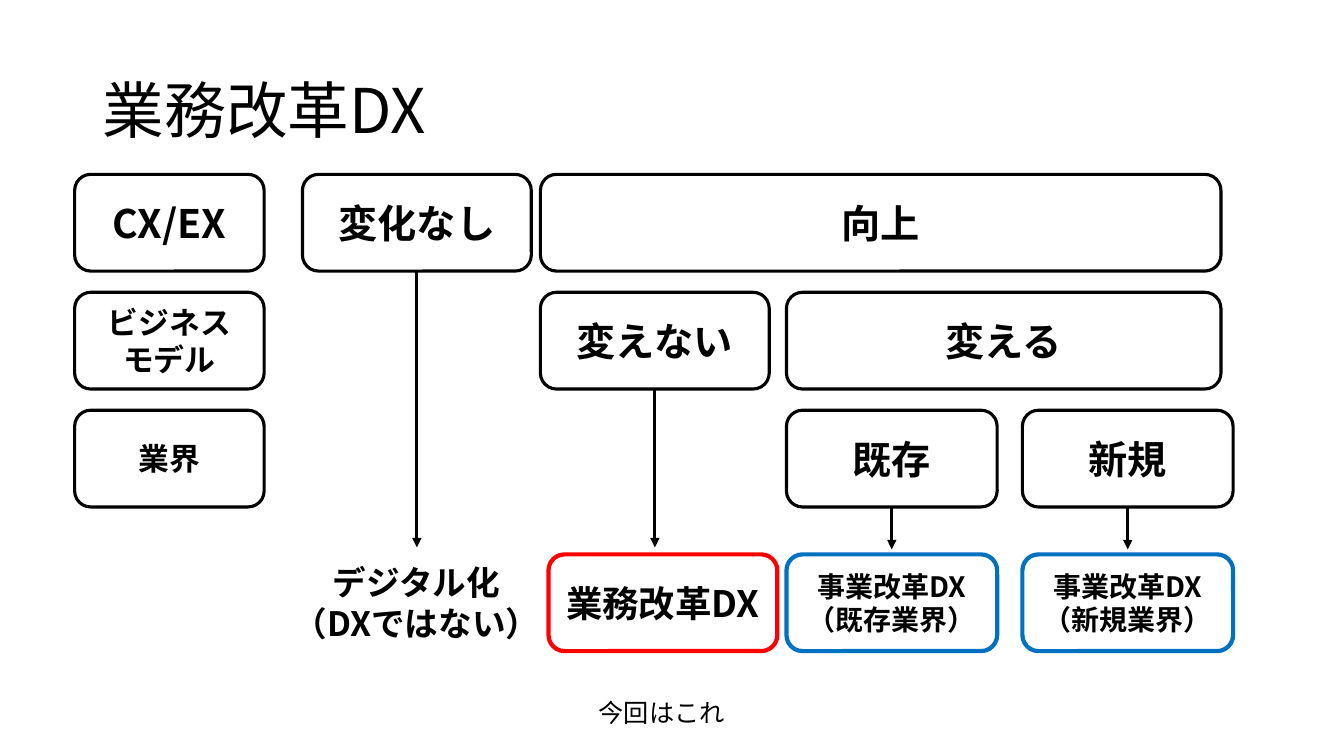
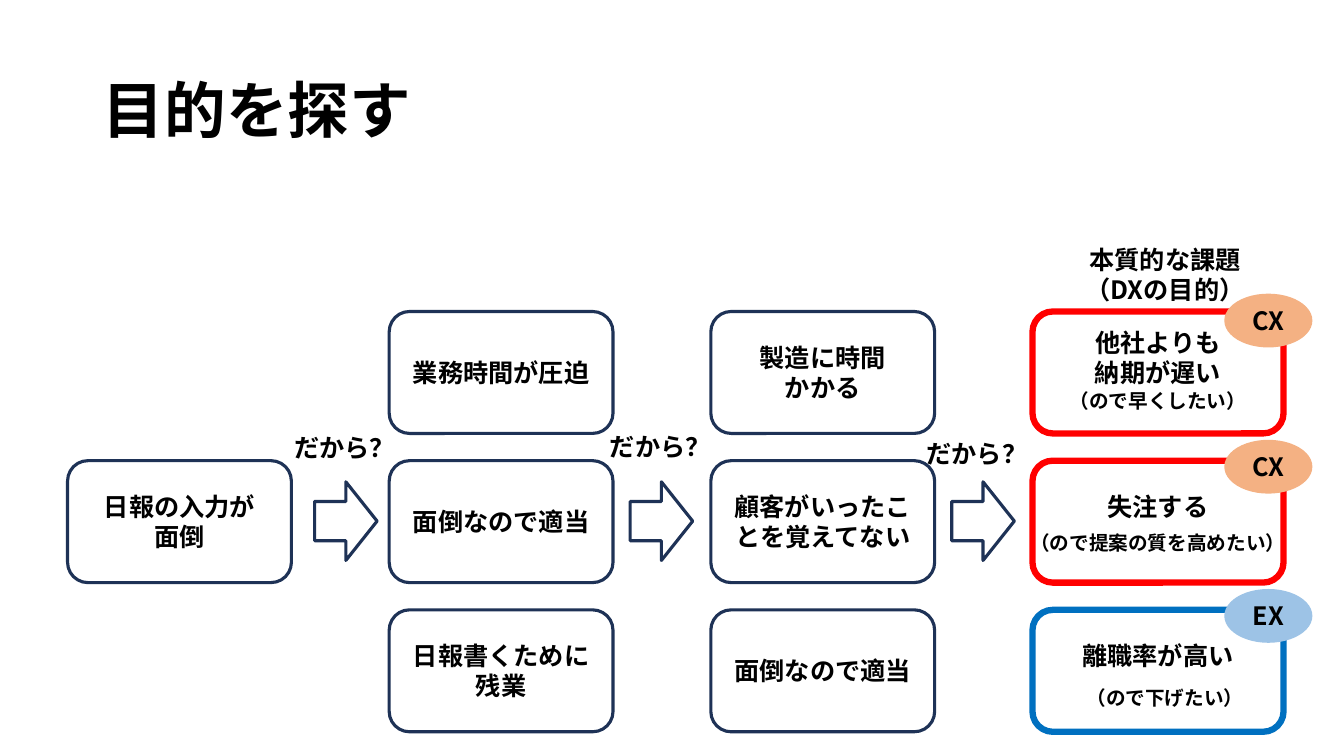
from lxml import etree
from pptx import Presentation
from pptx.dml.color import RGBColor
from pptx.enum.shapes import MSO_CONNECTOR, MSO_SHAPE
from pptx.enum.text import MSO_ANCHOR, MSO_AUTO_SIZE, PP_ALIGN
from pptx.oxml.ns import qn
from pptx.util import Pt

# Shared style
PX = 9144  # 100 px to the inch
FONT = "Noto Sans CJK JP"
COLORS = {
    "black": "000000", "white": "FFFFFF", "navy": "1E3256", "red": "FF0000",
    "blue": "0070C0", "peach": "F4B183", "sky": "9DC3E6",
}
ROUND = MSO_SHAPE.ROUNDED_RECTANGLE
OVAL = MSO_SHAPE.OVAL
ARROW = MSO_SHAPE.RIGHT_ARROW
STRAIGHT = MSO_CONNECTOR.STRAIGHT
LEFT, CENTER = PP_ALIGN.LEFT, PP_ALIGN.CENTER
MIDDLE, TOP = MSO_ANCHOR.MIDDLE, MSO_ANCHOR.TOP
NO_FIT = MSO_AUTO_SIZE.NONE
TITLE_ONLY = 5


def rgb(name):
    return RGBColor.from_string(COLORS[name])


def emu(*nums):
    return [num * PX for num in nums]


def write(shape, text, size, bold=True, align=CENTER, anchor=MIDDLE):
    frame = shape.text_frame
    frame.text = text
    frame.word_wrap = True
    frame.auto_size = NO_FIT
    frame.vertical_anchor = anchor
    for para in frame.paragraphs:
        para.alignment = align
        for run in para.runs:
            font = run.font
            font.size, font.bold, font.name = Pt(size), bold, FONT
            font.color.rgb = rgb("black")
            # East Asian glyphs take their own typeface
            etree.SubElement(font._element, qn("a:ea"), typeface=FONT)


def page(deck, title, bold):
    slide = deck.slides.add_slide(deck.slide_layouts[TITLE_ONLY])
    head = slide.shapes.title
    head.left, head.top, head.width, head.height = emu(92, 40, 1150, 145)
    write(head, title, 44, bold, LEFT)
    head.text_frame.paragraphs[0].line_spacing = 0.9
    return slide


def form(slide, kind, rect, line, weight, fill="white"):
    shape = slide.shapes.add_shape(kind, *emu(*rect))
    shape.shadow.inherit = False
    shape.fill.solid()
    shape.fill.fore_color.rgb = rgb(fill)
    shape.line.color.rgb = rgb(line)
    shape.line.width = Pt(weight)
    return shape


def box(slide, rect, text, size, line="black", weight=2.25):
    shape = form(slide, ROUND, rect, line, weight)
    write(shape, text, size)
    return shape


def label(slide, rect, text, size, bold=True, align=CENTER):
    write(slide.shapes.add_textbox(*emu(*rect)), text, size, bold, align, TOP)


def drop(slide, start, end):
    """Arrow from the bottom middle of a box down to a height."""
    x = start.left + start.width // 2
    link = slide.shapes.add_connector(
        STRAIGHT, x, start.top + start.height, x, end * PX)
    link.line.color.rgb = rgb("black")
    link.line.width = Pt(2.25)
    etree.SubElement(link.line._get_or_add_ln(), qn("a:tailEnd"), type="triangle")
    etree.SubElement(link._element.spPr, qn("a:effectLst"))


def reform(deck):
    slide = page(deck, "業務改革DX", False)
    high = 96
    rows = [173 + 117 * i for i in range(3)]

    # Questions: row, left, width, text, size, arrow end
    cells = [
        (0, 74, 188, "CX/EX", 28, None),
        (1, 74, 188, "ビジネス\nモデル", 22, None),
        (2, 74, 188, "業界", 22, None),
        (0, 300, 227, "変化なし", 28, 543),
        (0, 536, 675, "向上", 28, None),
        (1, 536, 227, "変えない", 28, 543),
        (1, 780, 431, "変える", 28, None),
        (2, 780, 209, "既存", 28, 545),
        (2, 1014, 209, "新規", 28, 545),
    ]
    for row, left, width, text, size, end in cells:
        cell = box(slide, (left, rows[row], width, high), text, size)
        if end:
            drop(slide, cell, end)

    # Outcomes
    goals = [
        (544, 227, "業務改革DX", 26, "red"),
        (780, 209, "事業改革DX\n（既存業界）", 20, "blue"),
        (1014, 209, "事業改革DX\n（新規業界）", 20, "blue"),
    ]
    for left, width, text, size, line in goals:
        box(slide, (left, 550, width, high), text, size, line, 3)
    label(slide, (272, 553, 282, 91), "デジタル化\n（DXではない）", 24)
    label(slide, (584, 687, 160, 40), "今回はこれ", 18, False, LEFT)


def purpose(deck):
    slide = page(deck, "目的を探す", True)
    high = 121
    cols = [67 + 319 * i for i in range(4)]
    rows = [309 + 148 * i for i in range(3)]

    # Chain of causes
    causes = [
        (0, 1, "日報の入力が\n面倒"),
        (1, 0, "業務時間が圧迫"),
        (1, 1, "面倒なので適当"),
        (1, 2, "日報書くために残業"),
        (2, 0, "製造に時間\nかかる"),
        (2, 1, "顧客がいったことを覚えてない"),
        (2, 2, "面倒なので適当"),
    ]
    for col, row, text in causes:
        box(slide, (cols[col], rows[row], 222, high), text, 18, "navy")

    # Steps between columns
    for left, x, y in [(312, 282, 424), (625, 595, 423), (944, 909, 430)]:
        form(slide, ARROW, (left, 478, 62, 78), "navy", 2.25)
        label(slide, (x, y, 123, 40), "だから？", 18, True, LEFT)

    # Core issues, each with a wish and a badge
    label(slide, (982, 237, 347, 71), "本質的な課題\n（DXの目的）", 18)
    issues = [
        ("他社よりも\n納期が遅い", "red", "（ので早くしたい）", 975, 381,
         "CX", "peach", 292),
        ("失注する", "red", "（ので提案の質を高めたい）", 975, 522,
         "CX", "peach", 437),
        ("離職率が高い", "blue", "（ので下げたい）", 982, 676,
         "EX", "sky", 585),
    ]
    for top, (text, line, wish, x, y, mark, fill, rise) in zip(rows, issues):
        core = box(slide, (cols[3], top, 249, high), text, 18, line, 4.5)
        core.text_frame.margin_bottom = 35 * PX  # room for the wish
        label(slide, (x, y, 347, 34), wish, 14)
        badge = form(slide, OVAL, (1215, rise, 86, 52), fill, 1, fill)
        write(badge, mark, 18)


def main():
    deck = Presentation()
    deck.slide_width, deck.slide_height = emu(1333, 750)
    reform(deck)
    purpose(deck)
    deck.save("out.pptx")


if __name__ == "__main__":
    main()
